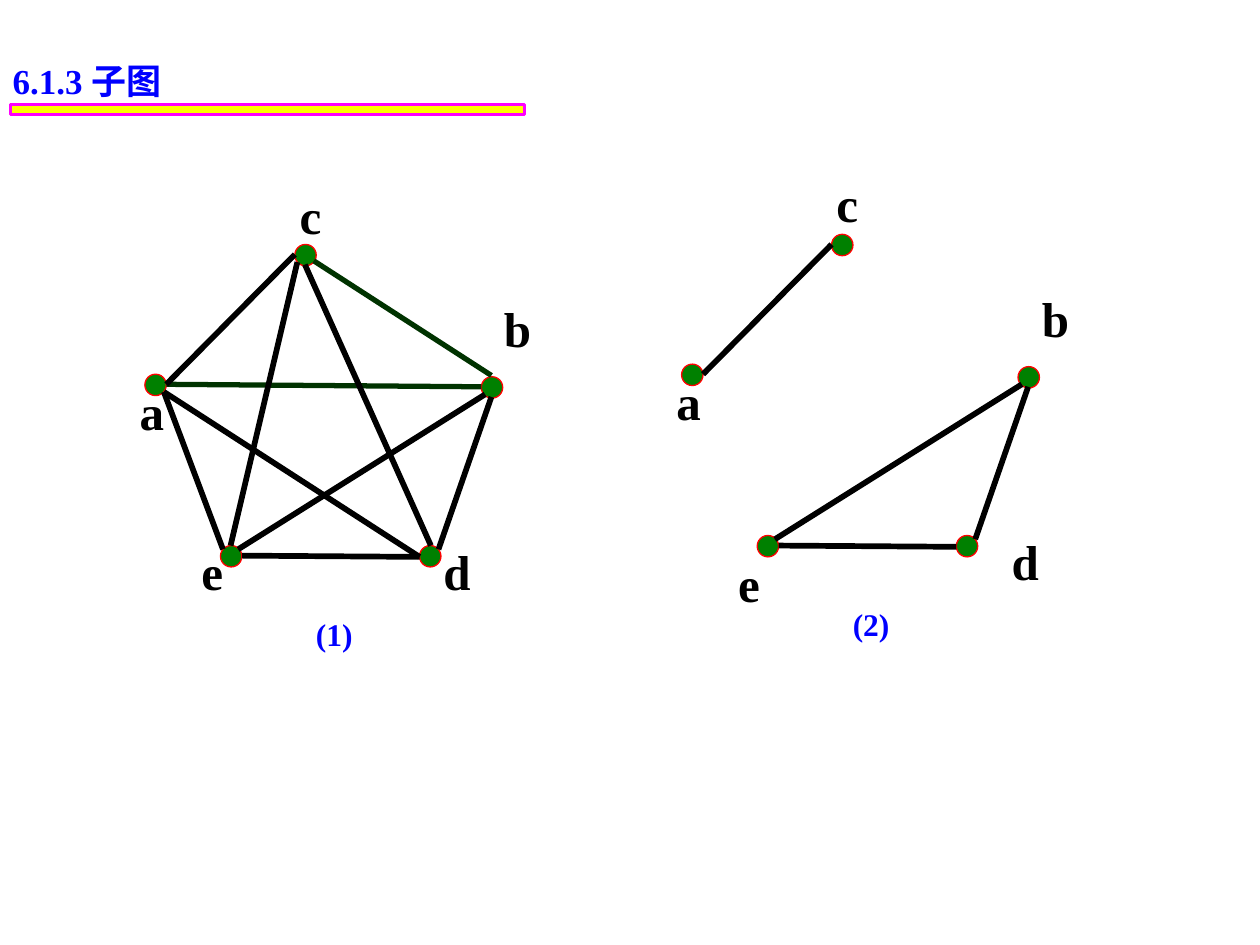
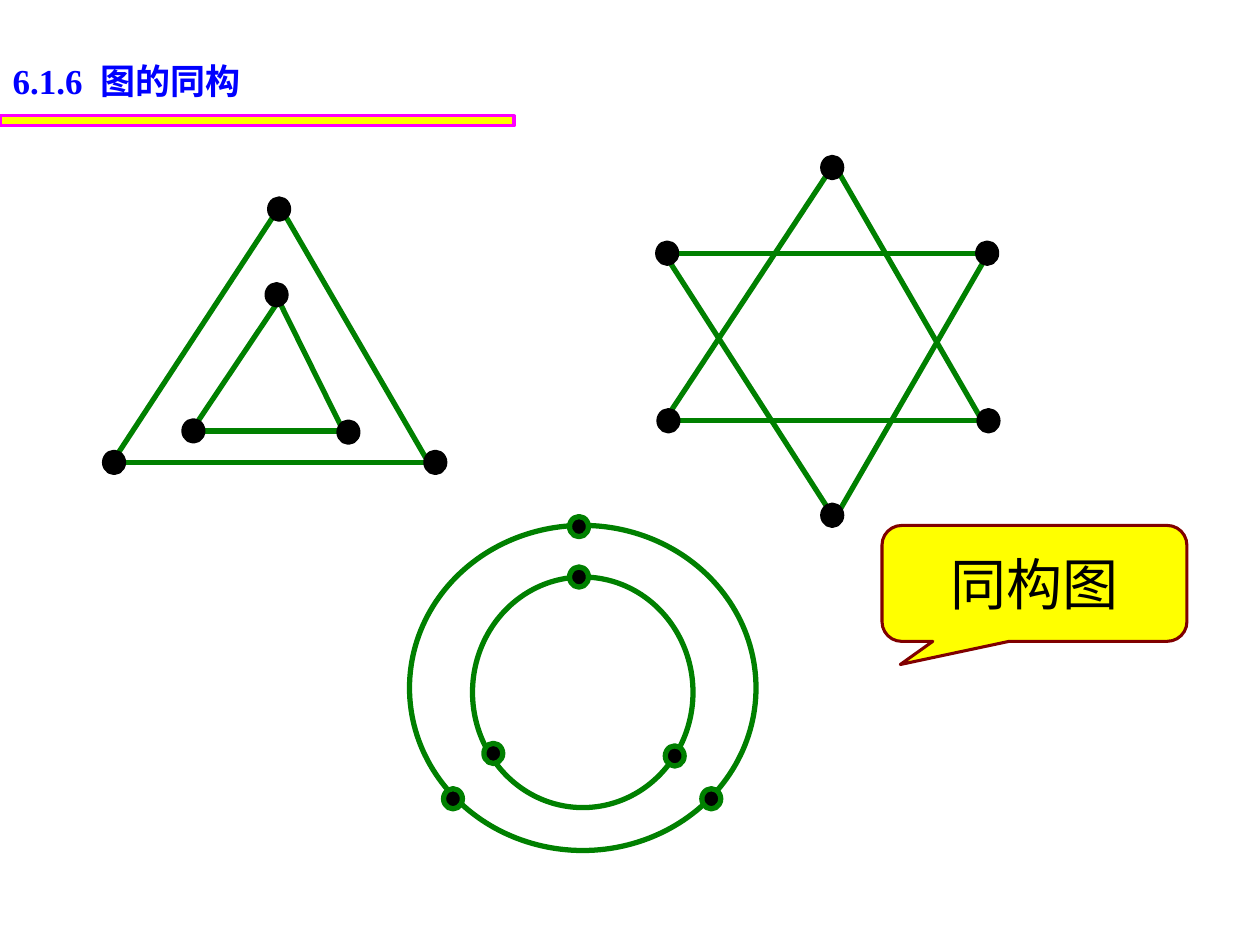
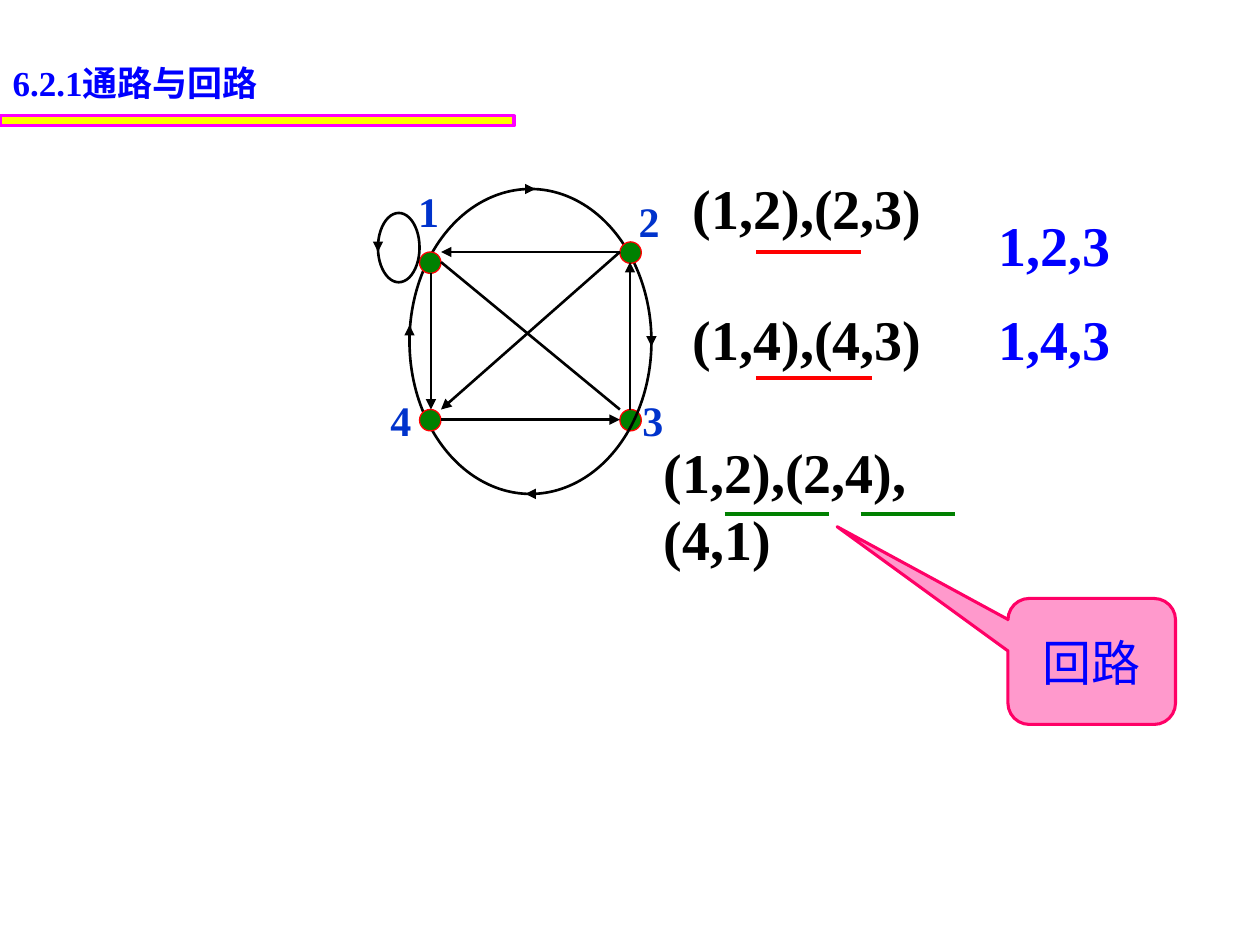
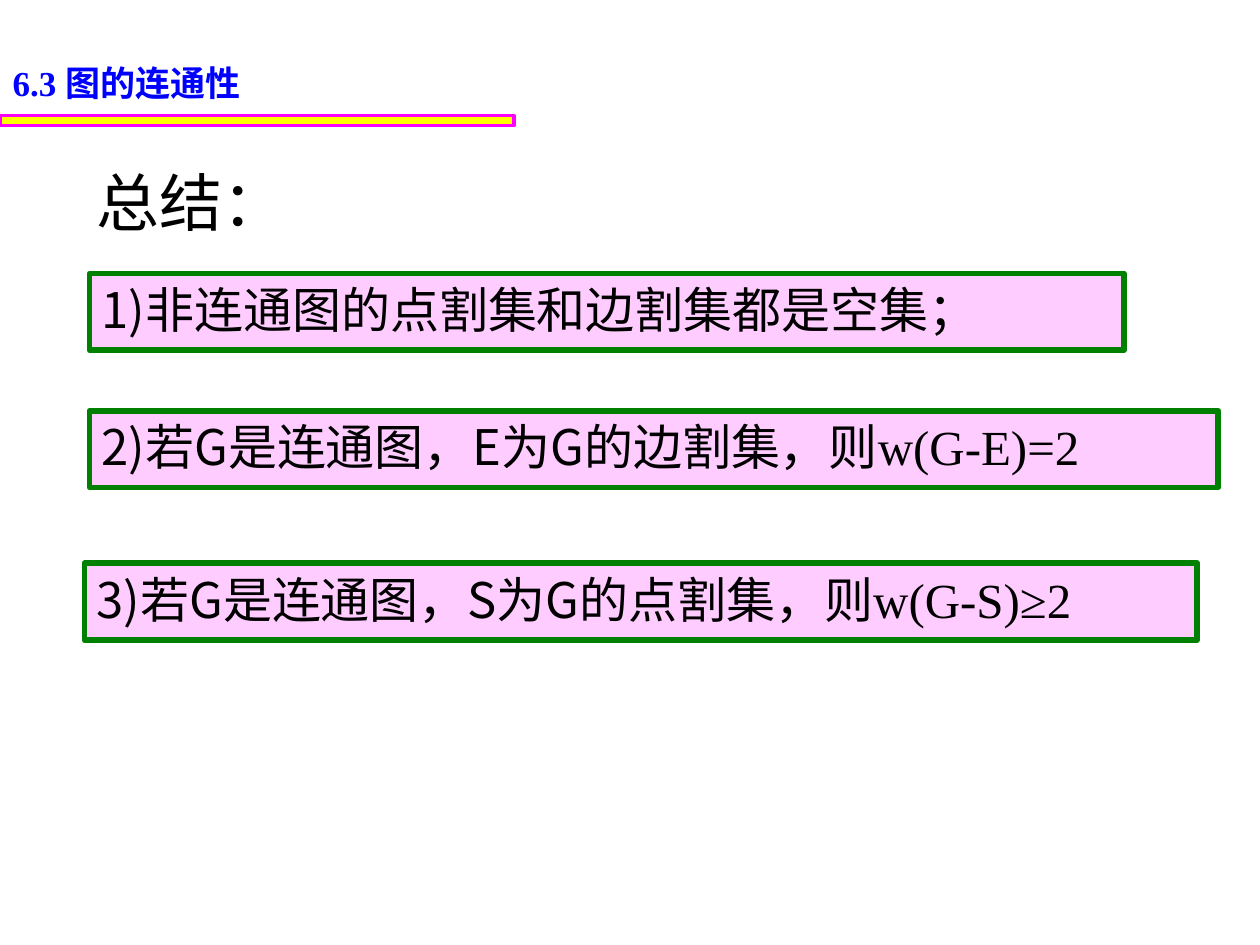
from lxml import etree
from pptx import Presentation
from pptx.dml.color import RGBColor
from pptx.enum.shapes import MSO_CONNECTOR, MSO_SHAPE
from pptx.enum.text import MSO_ANCHOR, MSO_AUTO_SIZE, PP_ALIGN
from pptx.oxml.ns import qn
from pptx.util import Inches, Pt

STRAIGHT = MSO_CONNECTOR.STRAIGHT
OVAL = MSO_SHAPE.OVAL
RECTANGLE = MSO_SHAPE.RECTANGLE
CALLOUT = MSO_SHAPE.ROUNDED_RECTANGULAR_CALLOUT
LEFT, CENTER = PP_ALIGN.LEFT, PP_ALIGN.CENTER
TOP, MIDDLE = MSO_ANCHOR.TOP, MSO_ANCHOR.MIDDLE
NO_FIT = MSO_AUTO_SIZE.NONE
TITLE_ONLY = 5

BLACK, BLUE, LABEL_BLUE = "000000", "0000FF", "0033CC"
GREEN, DARK_GREEN = "008000", "003300"
RED, MAGENTA, MAROON, CRIMSON = "FF0000", "FF00FF", "800000", "FF0066"
YELLOW, PINK, PALE_PINK = "FFFF00", "FF99CC", "FFCCFF"
SERIF, SANS, CJK = "Times New Roman", "Arial", "Noto Sans CJK JP"


def color(value):
    return RGBColor.from_string(value)


def add_run(paragraph, text, font=SERIF, size=28, ink=BLACK, bold=False):
    run = paragraph.add_run()
    run.text = text
    run.font.name = font
    run.font.size = Pt(size)
    run.font.bold = bold
    run.font.color.rgb = color(ink)
    east_asian = etree.SubElement(run.font._element, qn("a:ea"))
    east_asian.set("typeface", CJK)


class Deck:
    def __init__(self):
        self.presentation = Presentation()
        self.presentation.slide_width = Inches(10)
        self.presentation.slide_height = Inches(7.5)
        self.slide = None

    def start(self, *title_runs, top=0.44, width=3.52, bar=(0, 0.92)):
        layout = self.presentation.slide_layouts[TITLE_ONLY]
        self.slide = self.presentation.slides.add_slide(layout)
        title = self.slide.shapes.title
        title.left, title.top = Inches(0), Inches(top)
        title.width, title.height = Inches(width), Inches(0.43)
        self.fill_frame(title.text_frame, [title_runs], size=20, ink=BLUE, bold=True)
        self.shape(RECTANGLE, *bar, 4.08, 0.08, YELLOW, MAGENTA, 1.75)

    def fill_frame(self, frame, paragraphs, align=LEFT, anchor=TOP, spacing=None, **style):
        frame.word_wrap = True
        frame.auto_size = NO_FIT
        frame.vertical_anchor = anchor
        for index, runs in enumerate(paragraphs):
            paragraph = frame.add_paragraph() if index else frame.paragraphs[0]
            paragraph.alignment = align
            if spacing:
                paragraph.line_spacing = spacing
            for text, font in runs:
                add_run(paragraph, text, font=font, **style)

    def text(self, left, top, width, height, *lines, font=SERIF, **style):
        box = self.slide.shapes.add_textbox(
            Inches(left), Inches(top), Inches(width), Inches(height))
        self.fill_frame(box.text_frame, [[(line, font)] for line in lines], **style)

    def shape(self, kind, left, top, width, height, fill, line, weight):
        shape = self.slide.shapes.add_shape(
            kind, Inches(left), Inches(top), Inches(width), Inches(height))
        shape.shadow.inherit = False
        if fill:
            shape.fill.solid()
            shape.fill.fore_color.rgb = color(fill)
        else:
            shape.fill.background()
        shape.line.color.rgb = color(line)
        shape.line.width = Pt(weight)
        return shape

    def callout(self, left, top, width, height, tip, text, fill, line, **style):
        shape = self.shape(CALLOUT, left, top, width, height, fill, line, 1.75)
        for index, value in enumerate((*tip, 0.17)):
            shape.adjustments[index] = value
        self.fill_frame(shape.text_frame, [[(text, SANS)]],
                        align=CENTER, anchor=MIDDLE, **style)

    def panel(self, left, top, width, *runs):
        shape = self.shape(RECTANGLE, left, top, width, 0.61, PALE_PINK, GREEN, 3.25)
        self.fill_frame(shape.text_frame, [runs])

    def vertex(self, left, top):
        self.shape(OVAL, left, top, 0.17, 0.17, GREEN, RED, 0.75)

    def dots(self, positions, line=BLACK):
        for left, top in positions:
            self.shape(OVAL, left, top, 0.15, 0.16, BLACK, line, 3)

    def line(self, x1, y1, x2, y2, stroke=BLACK, weight=1.5, arrow=False):
        connector = self.slide.shapes.add_connector(
            STRAIGHT, Inches(x1), Inches(y1), Inches(x2), Inches(y2))
        connector.line.color.rgb = color(stroke)
        connector.line.width = Pt(weight)
        if arrow:
            tail = etree.SubElement(connector.line._get_or_add_ln(), qn("a:tailEnd"))
            tail.set("type", "triangle")
        etree.SubElement(connector._element.spPr, qn("a:effectLst"))


VERTICES = {"a": (1.15, 2.97), "b": (3.82, 2.99), "c": (2.34, 1.94),
            "d": (3.33, 4.33), "e": (1.75, 4.33)}
EDGES = {
    "ab": (1.32, 3.05, 3.82, 3.07), "bc": (2.49, 2.07, 3.9, 2.98),
    "ac": (1.32, 3.05, 2.34, 2.02), "ae": (1.3, 3.11, 1.77, 4.36),
    "de": (1.92, 4.41, 3.33, 4.42), "bd": (3.48, 4.36, 3.9, 3.15),
    "ce": (2.36, 2.08, 1.83, 4.33), "cd": (2.42, 2.1, 3.42, 4.33),
    "ad": (1.3, 3.11, 3.33, 4.42), "be": (1.89, 4.36, 3.85, 3.13),
}
GREEN_EDGES = ("ab", "bc")


def pentagon_graph(deck, dx, dy, edges, labels, caption):
    for left, top in VERTICES.values():
        deck.vertex(left + dx, top + dy)
    for edge in edges:
        x1, y1, x2, y2 = EDGES[edge]
        stroke, weight = (DARK_GREEN, 3) if edge in GREEN_EDGES else (BLACK, 3.25)
        deck.line(x1 + dx, y1 + dy, x2 + dx, y2 + dy, stroke, weight)
    for letter, (left, top) in labels.items():
        deck.text(left, top, 0.42, 0.57, letter, bold=True)
    deck.text(2.41 + dx, 4.83 + dy, 0.5, 0.4, caption, size=18, ink=BLUE, bold=True)


def subgraph_slide(deck):
    deck.start(("6.1.3 ", SERIF), ("子图", SANS), top=0.42, width=4.33, bar=(0.08, 0.83))
    labels = {"a": (1.01, 2.98), "b": (3.9, 2.32), "c": (2.28, 1.42),
              "d": (3.42, 4.25), "e": (1.5, 4.25)}
    pentagon_graph(deck, 0, 0, EDGES, labels, "(1)")
    labels = {"a": (5.27, 2.9), "b": (8.17, 2.24), "c": (6.54, 1.33),
              "d": (7.93, 4.17), "e": (5.76, 4.34)}
    pentagon_graph(deck, 4.26, -0.08, ("ac", "de", "bd", "be"), labels, "(2)")


def isomorphism_slide(deck):
    deck.start(("6.1.6  ", SERIF), ("图的同构", SANS), top=0.42, width=4.33)
    star_edges = [
        (6.6, 4.08, 5.29, 2.04), (7.79, 3.33, 6.64, 1.34), (7.85, 2, 6.6, 4.16),
        (5.32, 2.01, 7.85, 2.01), (5.28, 3.33, 6.6, 1.33), (5.33, 3.34, 7.86, 3.34)]
    triangle_edges = [
        (1.52, 3.42, 2.19, 2.42), (2.19, 2.34, 2.77, 3.51), (1.52, 3.42, 2.77, 3.42),
        (0.89, 3.67, 2.2, 1.67), (3.4, 3.67, 2.24, 1.67), (0.94, 3.67, 3.46, 3.67)]
    for edge in star_edges + triangle_edges:
        deck.line(*edge, GREEN, 3)
    deck.dots([(7.76, 1.93), (5.22, 1.93), (7.77, 3.26),
               (5.23, 3.26), (6.53, 1.25), (6.53, 4.01)])
    deck.dots([(2.69, 3.35), (2.12, 2.26), (3.38, 3.59),
               (0.83, 3.59), (2.14, 1.58), (1.46, 3.34)])
    for ring in [(3.75, 4.58, 1.75, 1.83), (3.25, 4.17, 2.75, 2.58)]:
        deck.shape(OVAL, *ring, None, GREEN, 3)
    deck.dots([(5.28, 5.92), (4.52, 4.5), (5.57, 6.26),
               (3.52, 6.26), (4.52, 4.1), (3.84, 5.9)], GREEN)
    deck.callout(7, 4.17, 2.42, 0.92, (-0.44, 0.7), "同构图", YELLOW, MAROON, size=32)


def path_slide(deck):
    deck.start(("6.2.1", SERIF), ("通路与回路", SANS))
    deck.vertex(4.92, 3.25)
    deck.shape(OVAL, 3.25, 1.5, 1.92, 2.42, None, BLACK, 1.5)
    for left, top in [(4.92, 1.92), (3.33, 3.25), (3.33, 2)]:
        deck.vertex(left, top)
    labels = {"1": (3.22, 1.42), "2": (4.97, 1.5), "3": (5, 3.08), "4": (3, 3.08)}
    for number, (left, top) in labels.items():
        deck.text(left, top, 0.37, 0.5, number, size=24, ink=LABEL_BLUE, bold=True)
    deck.line(3.5, 2.08, 4.92, 3.25)
    deck.shape(OVAL, 3, 1.69, 0.33, 0.55, None, BLACK, 1.5)
    edges = [(4.92, 2, 3.5, 3.25), (4.92, 2, 3.5, 2), (3.42, 2.17, 3.42, 3.25),
             (3.5, 3.33, 4.92, 3.33), (5, 3.25, 5, 2.08)]
    curve_heads = [(3.17, 1.67, 3.17, 1.67), (3, 1.92, 3, 2), (4.17, 1.5, 4.25, 1.5),
                   (5.17, 2.67, 5.17, 2.75), (4.25, 3.92, 4.17, 3.92),
                   (3.25, 2.75, 3.25, 2.58)]
    for edge in edges + curve_heads:
        deck.line(*edge, arrow=True)
    paths = [(5.4, 1.33, 2.77, "(1,2),(2,3)"), (5.4, 2.37, 2.77, "(1,4),(4,3)"),
             (5.17, 3.42, 2.95, "(1,2),(2,4),(4,1)")]
    for left, top, width, path_text in paths:
        deck.text(left, top, width, 0.63, path_text, size=32, bold=True)
    deck.text(7.83, 1.41, 1.83, 1.59, "1,2,3", "1,4,3",
              size=32, ink=BLUE, bold=True, spacing=1.4)
    underlines = [(6, 6.83, 2, RED, 2), (6, 6.92, 3, RED, 2),
                  (5.75, 6.58, 4.08, GREEN, 2.25), (6.83, 7.58, 4.08, GREEN, 2.25)]
    for start, end, y, stroke, weight in underlines:
        deck.line(start, y, end, y, stroke, weight)
    deck.callout(8, 4.75, 1.33, 1, (-1.52, -1.07), "回路", PINK, CRIMSON, ink=BLUE)


def connectivity_slide(deck):
    deck.start(("6.3 图的", SERIF), ("连通性", SANS))
    deck.text(0.67, 1.25, 1.7, 0.7, "总结：", font=SANS, size=36, align=CENTER)
    deck.panel(0.71, 2.17, 8.21, ("1)非连通图的点割集和边割集都是空集；", CJK))
    deck.panel(0.71, 3.26, 8.96,
               ("2)若G是连通图，E为G的边割集，则", CJK), ("w(G-E)=2", SERIF))
    deck.panel(0.67, 4.47, 8.83,
               ("3)若G是连通图，S为G的点割集，则", CJK), ("w(G-S)≥2", SERIF))


def main():
    deck = Deck()
    subgraph_slide(deck)
    isomorphism_slide(deck)
    path_slide(deck)
    connectivity_slide(deck)
    deck.presentation.save("out.pptx")


if __name__ == "__main__":
    main()
